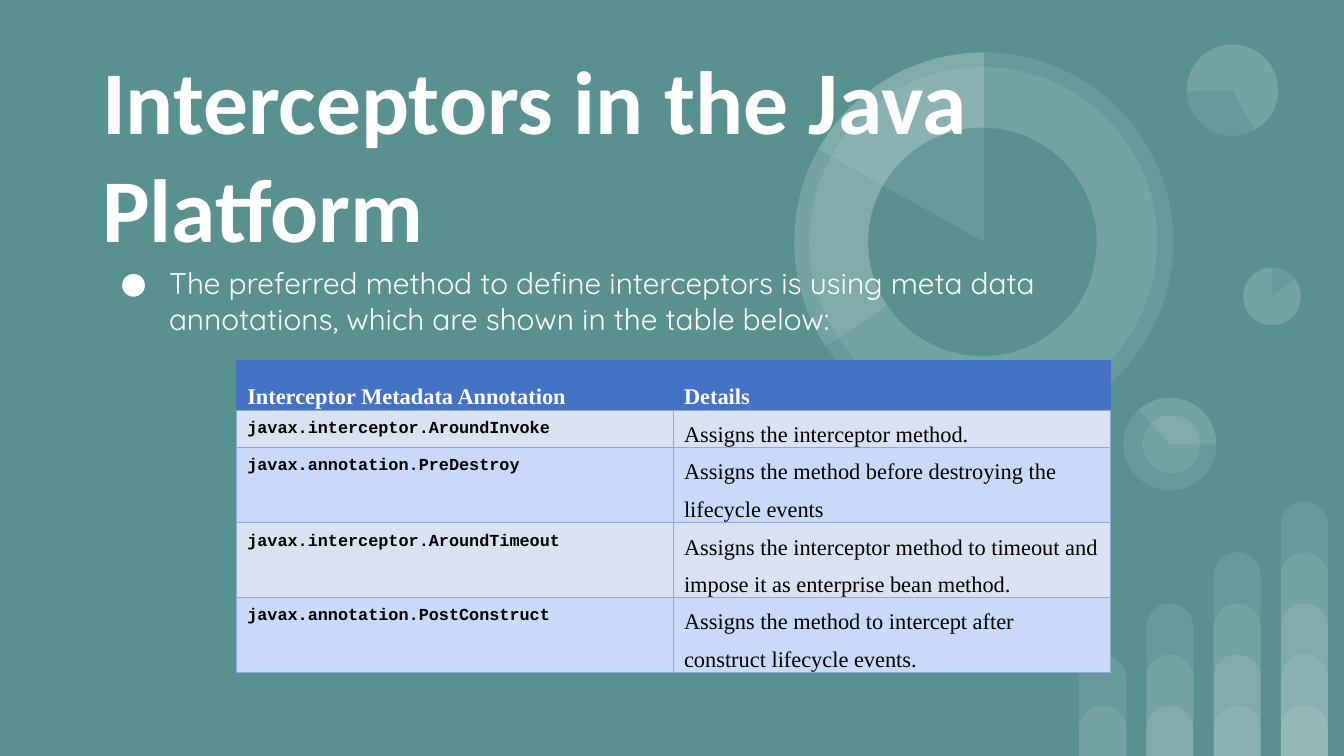
from lxml import etree
from pptx import Presentation
from pptx.dml.color import RGBColor
from pptx.enum.shapes import MSO_SHAPE
from pptx.enum.text import MSO_ANCHOR, MSO_AUTO_SIZE, PP_ALIGN
from pptx.oxml.ns import qn
from pptx.util import Inches, Pt

OVAL, PIE, BAR = MSO_SHAPE.OVAL, MSO_SHAPE.PIE, MSO_SHAPE.ROUND_2_SAME_RECTANGLE
TOP, MIDDLE, LEFT = MSO_ANCHOR.TOP, MSO_ANCHOR.MIDDLE, PP_ALIGN.LEFT
FIXED = MSO_AUTO_SIZE.NONE

TEAL = RGBColor(0x59, 0x91, 0x91)
WHITE = RGBColor(0xFF, 0xFF, 0xFF)
BLACK = RGBColor(0, 0, 0)
BLUE = RGBColor(0x44, 0x72, 0xC4)
PALE = RGBColor(0xD9, 0xE2, 0xF3)
SKY = RGBColor(0xC9, 0xDA, 0xF8)
EDGE = RGBColor(0x8E, 0xAA, 0xDB)

WIDTH = 10
HEIGHT = WIDTH * 9 / 16
ROWS = [
    ("Interceptor Metadata Annotation", "Details"),
    ("javax.interceptor.AroundInvoke", "Assigns the interceptor method."),
    ("javax.annotation.PreDestroy",
     "Assigns the method before destroying the lifecycle events"),
    ("javax.interceptor.AroundTimeout",
     "Assigns the interceptor method to timeout and impose it as enterprise bean method."),
    ("javax.annotation.PostConstruct",
     "Assigns the method to intercept after construct lifecycle events."),
]
HIGHS = [0.37, 0.28, 0.56, 0.55, 0.55]


class Deck:
    """Slide style and the slide being drawn."""

    def __init__(self):
        self.prs = Presentation()
        self.prs.slide_width = Inches(WIDTH)
        self.prs.slide_height = Inches(HEIGHT)
        self.slide = self.prs.slides.add_slide(self.prs.slide_layouts[5])
        fill = self.slide.background.fill
        fill.solid()
        fill.fore_color.rgb = TEAL

    def font(self, para, name, size, color, bold=False):
        for run in para.runs:
            font = run.font
            font.name, font.size, font.bold = name, Pt(size), bold
            font.color.rgb = color

    def shape(self, kind, box, adj=(), turn=0, color=WHITE, alpha=9):
        """Draw a borderless shape; alpha is its opacity in percent."""
        shape = self.slide.shapes.add_shape(kind, *map(Inches, box))
        for i, value in enumerate(adj):
            shape.adjustments[i] = value
        shape.rotation = turn
        shape.shadow.inherit = False
        shape.line.fill.background()
        shape.fill.solid()
        shape.fill.fore_color.rgb = color
        if alpha < 100:
            tint = shape.fill._xPr.find(".//" + qn("a:srgbClr"))
            etree.SubElement(tint, qn("a:alpha"), val=str(alpha * 1000))

    def round(self, left, top, size, turn=0, start=None, end=162, **look):
        """Draw a disc, or a pie when a start angle is given."""
        box = (left, top, size, size)
        if start is None:
            self.shape(OVAL, box, turn=turn, **look)
        else:
            self.shape(PIE, box, (start, end), turn, **look)

    def frame(self, shape, anchor, text):
        """Fill a text frame and return its paragraph."""
        frame = shape.text_frame
        frame.text = text
        frame.word_wrap = True
        frame.auto_size = FIXED
        frame.vertical_anchor = anchor
        frame.margin_left = frame.margin_right = Inches(0.1)
        frame.margin_top = frame.margin_bottom = Inches(0.1)
        para = frame.paragraphs[0]
        para.alignment = LEFT
        return para

    def title(self, box, text):
        title = self.slide.shapes.title
        title.left, title.top, title.width, title.height = map(Inches, box)
        para = self.frame(title, MIDDLE, text)
        self.font(para, "Calibri", 48, WHITE, True)
        # Bring the title in front of the decoration
        title._element.getparent().append(title._element)

    def bullet(self, box, text):
        shape = self.slide.shapes.add_textbox(*map(Inches, box))
        para = self.frame(shape, TOP, text)
        self.font(para, "Quicksand", 16, WHITE)
        props = para._p.get_or_add_pPr()
        props.set("marL", str(Inches(0.5)))
        props.set("indent", str(Inches(-0.36)))
        tint = etree.SubElement(props, qn("a:buClr"))
        etree.SubElement(tint, qn("a:srgbClr"), val=str(WHITE))
        etree.SubElement(props, qn("a:buFont"), typeface="Quicksand")
        etree.SubElement(props, qn("a:buChar"), char="●")

    def border(self, cell, color):
        props = cell._tc.get_or_add_tcPr()
        for i, side in enumerate(("a:lnL", "a:lnR", "a:lnT", "a:lnB")):
            line = etree.Element(qn(side), w=str(Pt(0.5)))
            fill = etree.SubElement(line, qn("a:solidFill"))
            etree.SubElement(fill, qn("a:srgbClr"), val=str(color))
            props.insert(i, line)

    def cell(self, cell, text, head, code, fill):
        cell.text = text
        cell.margin_left = cell.margin_right = Inches(0.08)
        cell.margin_top = cell.margin_bottom = 0
        cell.vertical_anchor = TOP
        cell.fill.solid()
        cell.fill.fore_color.rgb = fill
        para = cell.text_frame.paragraphs[0]
        para.line_spacing = 2.0 if head else 1.5
        name, size = ("Courier New", 9) if code else ("Times New Roman", 12)
        self.font(para, name, size, WHITE if head else BLACK, head or code)
        self.border(cell, BLUE if head else EDGE)

    def table(self, left, top, width, rows, highs):
        cols = len(rows[0])
        box = map(Inches, (left, top, width * cols, sum(highs)))
        table = self.slide.shapes.add_table(len(rows), cols, *box).table
        for col in table.columns:
            col.width = Inches(width)
        for r, (row, high) in enumerate(zip(rows, highs)):
            table.rows[r].height = Inches(high)
            head = r == 0
            fill = BLUE if head else PALE if r % 2 else SKY
            for c, text in enumerate(row):
                self.cell(table.cell(r, c), text, head, c == 0 and not head, fill)


def bars(deck):
    """Draw four columns of overlapping bars, each one step taller."""
    for col in range(4):
        for step in range(col + 2):
            top = 5.25 - 0.38 * step
            deck.shape(BAR, (8.03 + 0.5 * col, top, 0.35, HEIGHT - top), (0.5, 0))


def rings(deck):
    for left, top, size, turn, start, end in (
        (9.25, 1.99, 0.43, 0, 193.77, 162),
        (7.08, 3.81, 0.35, 196.2, 193.77, 162),
        (8.36, 2.96, 0.69, 90, 82.45, 162.46),
        (8.83, 0.33, 0.68, 215.9, 193.77, 123.14),
    ):
        deck.round(left, top, size, turn)
        deck.round(left, top, size, turn, start, end)
    deck.round(8.5, 3.09, 0.43)

    big = (5.91, 0.39, 2.82)
    deck.round(*big)
    deck.round(6.02, 0.5, 2.59)
    deck.round(*big, start=88.01)
    deck.round(6.46, 0.95, 1.7, color=TEAL, alpha=100)
    deck.round(*big, start=125.54)


def main():
    deck = Deck()
    bars(deck)
    rings(deck)
    deck.title((0.66, 0.4, 8.69, 1.47), "Interceptors in the Java Platform")
    deck.bullet(
        (0.66, 1.87, 8.24, 3.57),
        "The preferred method to define interceptors is using meta data "
        "annotations, which are shown in the table below:",
    )
    deck.table(1.76, 2.68, 3.25, ROWS, HIGHS)
    deck.prs.save("out.pptx")


if __name__ == "__main__":
    main()
